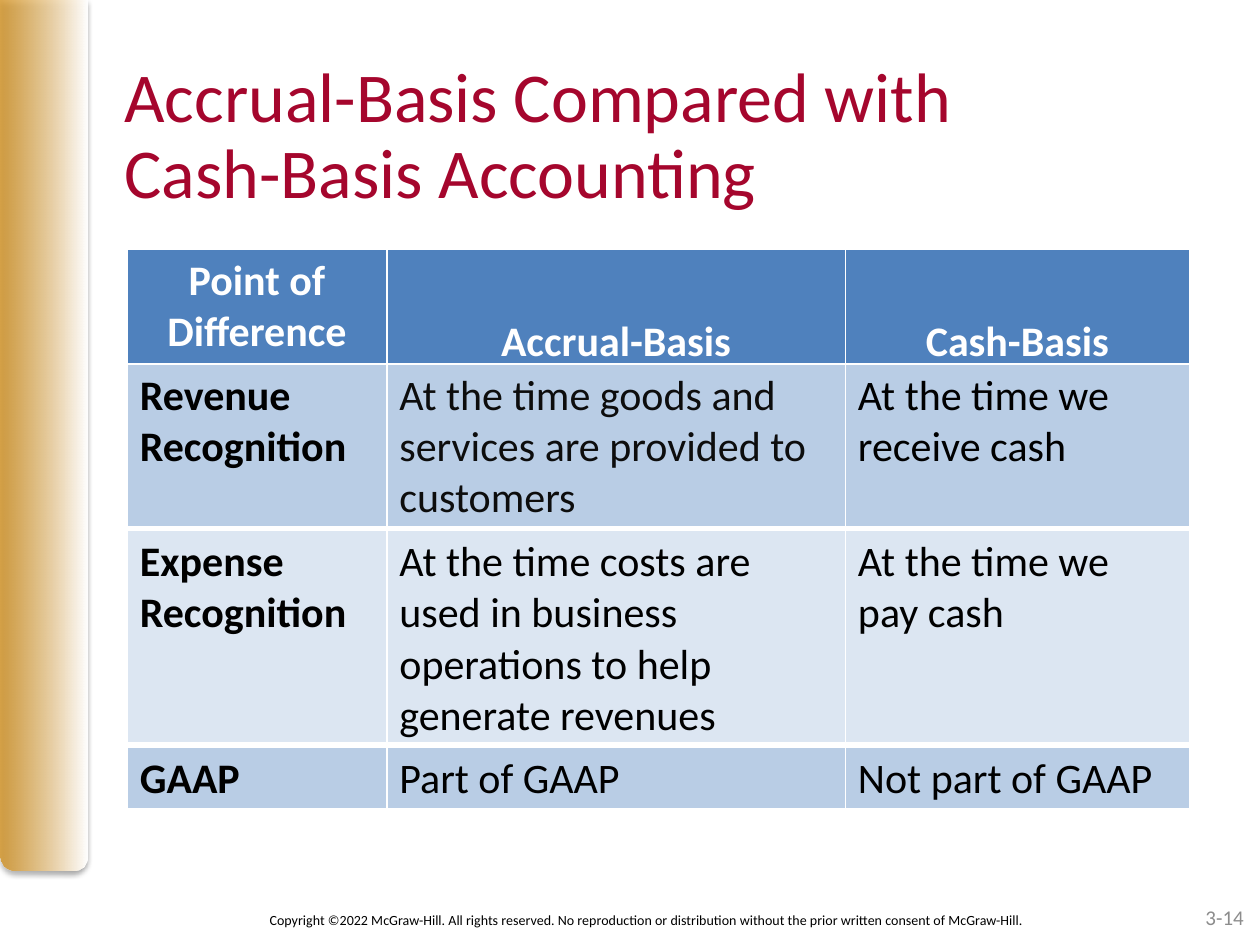
"""Build the slide comparing accrual-basis with cash-basis accounting."""
from lxml.etree import SubElement
from pptx import Presentation
from pptx.dml.color import RGBColor
from pptx.enum.shapes import MSO_SHAPE
from pptx.enum.text import MSO_ANCHOR, PP_ALIGN
from pptx.oxml import parse_xml
from pptx.oxml.ns import nsdecls, qn
from pptx.util import Inches, Pt

FONT = "Calibri"
COLORS = {
    "title": "A5062D", "gold": "D49323", "white": "FFFFFF", "black": "000000",
    "soft_black": "0D0D0D", "header": "4F81BD", "band": "B9CDE5",
    "light_band": "DCE6F2", "number": "8C8C8C",
}
TITLE = "Accrual-Basis Compared with\vCash-Basis Accounting"
COPYRIGHT = ("Copyright ©2022 McGraw-Hill. All rights reserved. No reproduction or "
             "distribution without the prior written consent of McGraw-Hill.")
PAGE_NUMBER = "3-14"

TABLE_LEFT = 1.01
COLUMN_WIDTHS = [2.06, 3.64, 2.73]
HEADER = (1.98, 0.99, ["Point of Difference", "Accrual-Basis", "Cash-Basis"])
ROWS = [
    (4.21, 1.7, "light_band", "black",
     ["Expense Recognition",
      "At the time costs are used in business operations to help generate revenues",
      "At the time we pay cash"]),
    (2.89, 1.3, "band", "soft_black",
     ["Revenue Recognition",
      "At the time goods and services are provided to customers",
      "At the time we receive cash"]),
    (5.93, 0.5, "band", "black", ["GAAP", "Part of GAAP", "Not part of GAAP"]),
]
BORDERS = [("lnL", 1), ("lnR", 1), ("lnT", 1), ("lnB", 3)]


def color(name):
    return RGBColor.from_string(COLORS[name])


def write(text_frame, text, size, color_name, align=PP_ALIGN.LEFT, bold=False, line_spacing=None):
    text_frame.text = text
    text_frame.word_wrap = True
    paragraph = text_frame.paragraphs[0]
    paragraph.alignment = align
    paragraph.line_spacing = line_spacing
    for run in paragraph.runs:
        run.font.name = FONT
        run.font.size = Pt(size)
        run.font.bold = bold
        run.font.color.rgb = color(color_name)


def add_text(slide, box, *args, **options):
    text_frame = slide.shapes.add_textbox(*map(Inches, box)).text_frame
    text_frame.vertical_anchor = MSO_ANCHOR.MIDDLE
    write(text_frame, *args, **options)


def add_side_bar(slide):
    bar = slide.shapes.add_shape(
        MSO_SHAPE.ROUND_2_SAME_RECTANGLE, 0, 0, Inches(0.69), Inches(6.91))
    bar.adjustments[0], bar.adjustments[1] = 0, 0.17
    bar.line.fill.background()
    bar.fill.gradient()
    bar.fill.gradient_angle = 0
    for stop, name in zip(bar.fill.gradient_stops, ["gold", "white"]):
        stop.color.rgb = color(name)
    gold = next(bar._element.spPr.iter(qn("a:srgbClr")))
    SubElement(gold, qn("a:alpha"), val="80000")
    bar.shadow.inherit = False
    shadow = SubElement(
        bar._element.spPr.find(qn("a:effectLst")), qn("a:outerShdw"),
        blurRad=str(Pt(3.1)), dist=str(Pt(1.8)), dir="5400000", rotWithShape="0")
    shade = SubElement(shadow, qn("a:srgbClr"), val=COLORS["black"])
    SubElement(shade, qn("a:alpha"), val="35000")


def add_borders(cell):
    properties = cell._tc.get_or_add_tcPr()
    for index, (tag, width) in enumerate(BORDERS):
        properties.insert(index, parse_xml(
            f'<a:{tag} {nsdecls("a")} w="{Pt(width)}"><a:solidFill>'
            f'<a:srgbClr val="{COLORS["white"]}"/></a:solidFill></a:{tag}>'))


def add_row_table(slide, top, height, fill):
    table = slide.shapes.add_table(
        1, len(COLUMN_WIDTHS), Inches(TABLE_LEFT), Inches(top),
        Inches(sum(COLUMN_WIDTHS)), Inches(height)).table
    for column, width in zip(table.columns, COLUMN_WIDTHS):
        column.width = Inches(width)
    cells = list(table.rows[0].cells)
    for cell in cells:
        cell.fill.solid()
        cell.fill.fore_color.rgb = color(fill)
        add_borders(cell)
    return cells


def main():
    presentation = Presentation()
    presentation.slide_width, presentation.slide_height = Inches(10), Inches(7.5)
    slide = presentation.slides.add_slide(presentation.slide_layouts[6])
    add_side_bar(slide)
    add_text(slide, (0.89, 0.47, 9, 1.25), TITLE, 40, "title", line_spacing=0.9)

    top, height, labels = HEADER
    for index, cell in enumerate(add_row_table(slide, top, height, "header")):
        write(cell.text_frame, labels[index], 24, "white", PP_ALIGN.CENTER, bold=True)
        cell.vertical_anchor = MSO_ANCHOR.BOTTOM if index else MSO_ANCHOR.TOP

    add_text(slide, (1.56, 7.1, 7.15, 0.4), COPYRIGHT, 8, "black", PP_ALIGN.CENTER)
    add_text(slide, (7.64, 7.08, 2.33, 0.4), PAGE_NUMBER, 12, "number", PP_ALIGN.RIGHT)

    for top, height, fill, accrual_color, texts in ROWS:
        text_colors = ["black", accrual_color, "black"]
        for index, cell in enumerate(add_row_table(slide, top, height, fill)):
            write(cell.text_frame, texts[index], 24, text_colors[index], bold=index == 0)

    presentation.save("out.pptx")


if __name__ == "__main__":
    main()
